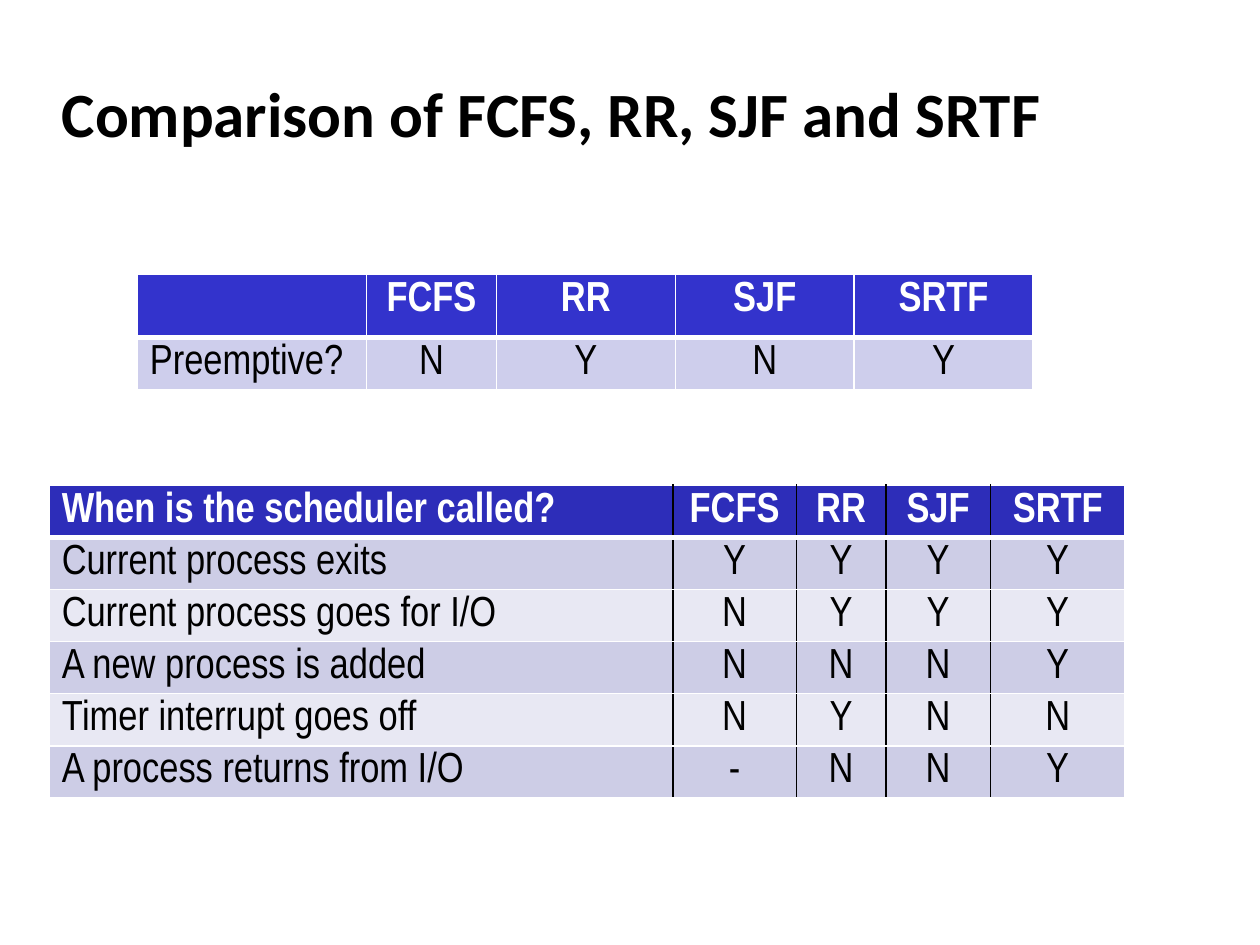
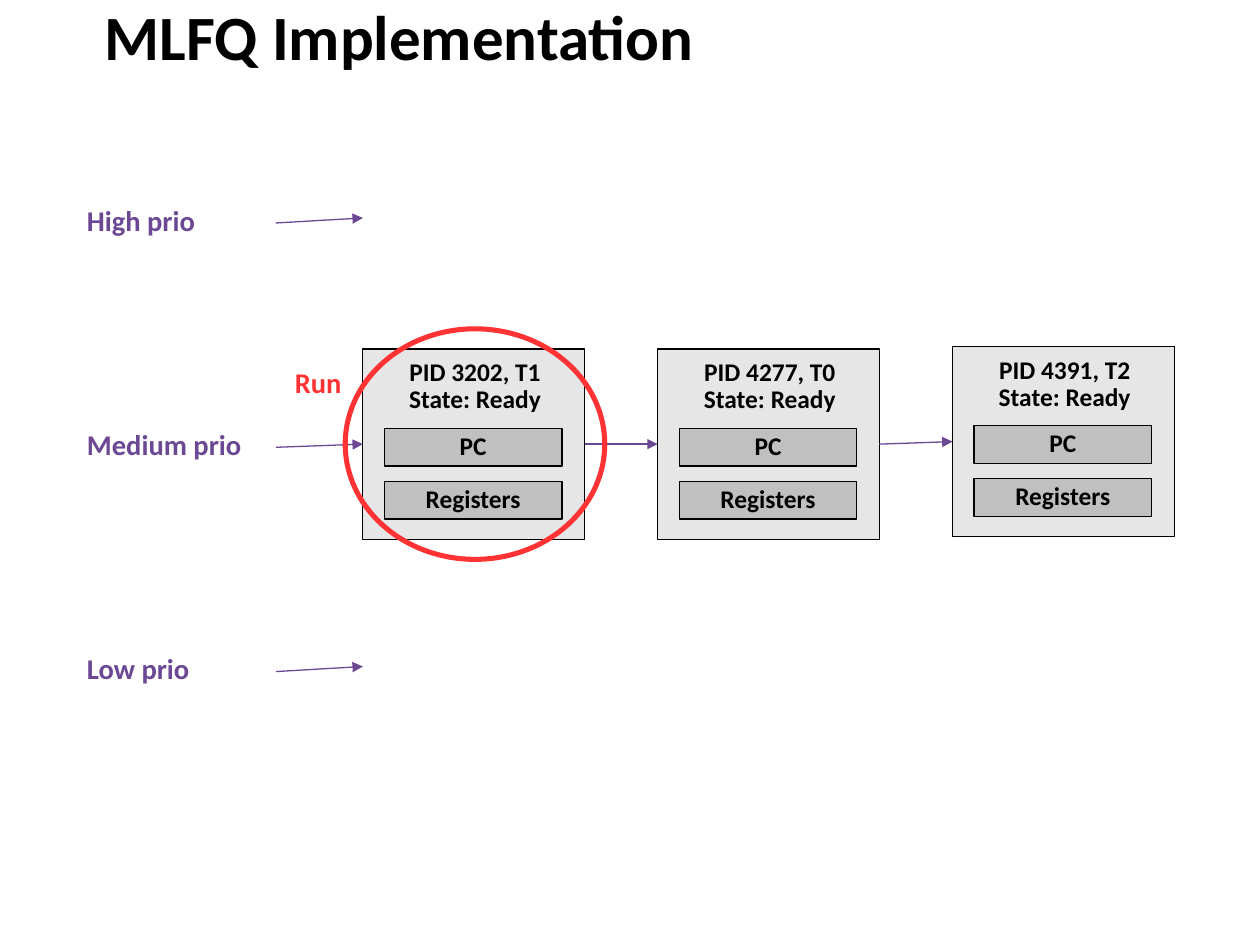
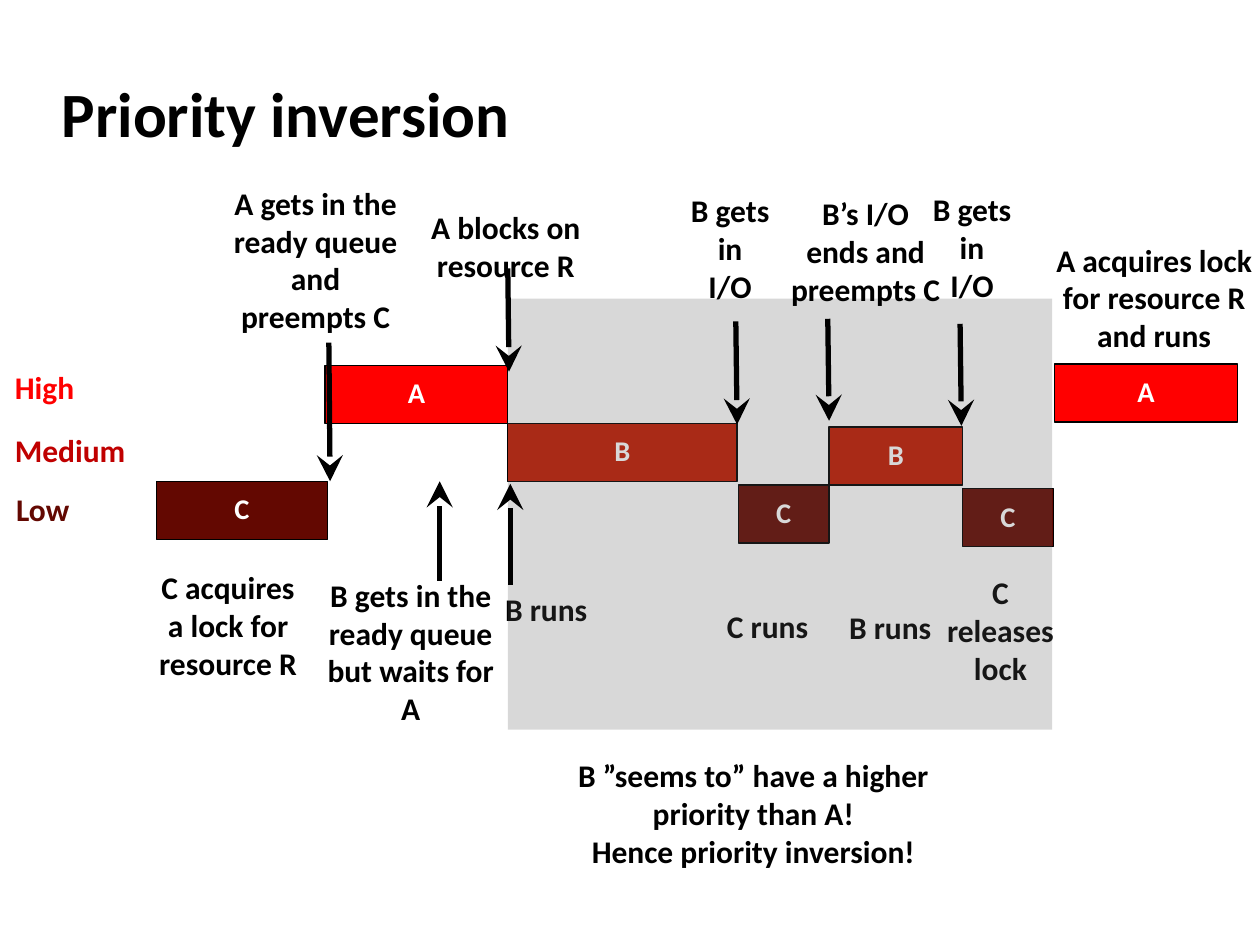
"""Build three slides on process scheduling: comparison, MLFQ and priority inversion."""
from lxml.etree import SubElement
from pptx import Presentation
from pptx.dml.color import RGBColor
from pptx.enum.shapes import MSO_CONNECTOR as Link, MSO_SHAPE as Preset
from pptx.enum.text import MSO_ANCHOR as Anchor, MSO_AUTO_SIZE as AutoSize, PP_ALIGN as Align
from pptx.oxml.ns import qn
from pptx.util import Pt

PX = 9144
SLIDE_SIZE = (1000, 750)
BODY_FONT, TABLE_FONT = "Calibri", "Arial Narrow"
COLOURS = {
    "black": "000000", "white": "FFFFFF",
    "policy_head": "3333CC", "policy_row": "CECEEC",
    "event_head": "2D2DB9", "event_odd": "CDCDE6", "event_even": "E8E8F3",
    "queue": "6B4794", "process": "E6E6E6", "field": "C0C0C0", "running": "FF3333",
    "high": "FF0000", "medium": "C01A01", "medium_label": "C00000", "low": "630801",
    "inversion": "606060",
}
TITLE_BOX = (39, 48, 830, 83)
NARROW_INSETS, WIDE_INSETS = (9, 4), (10, 5)

POLICIES = ["FCFS", "RR", "SJF", "SRTF"]
PREEMPTION = {
    "at": (109, 218), "columns": [182, 103, 142, 142, 142], "heights": [50, 41],
    "rows": [["", *POLICIES], ["Preemptive?", "N", "Y", "N", "Y"]],
    "fills": ["policy_head", "policy_row"], "divider": "white",
}
SCHEDULER_CALLS = {
    "at": (39, 385), "columns": [495, 98, 71, 83, 107], "heights": [41] * 6,
    "rows": [
        ["When is the scheduler called?", *POLICIES],
        ["Current process exits", "Y", "Y", "Y", "Y"],
        ["Current process goes for I/O", "N", "Y", "Y", "Y"],
        ["A new process is added", "N", "N", "N", "Y"],
        ["Timer interrupt goes off", "N", "Y", "N", "N"],
        ["A process returns from I/O", "-", "N", "N", "Y"],
    ],
    "fills": ["event_head"] + ["event_odd", "event_even"] * 2 + ["event_odd"],
    "divider": "black",
}

QUEUES = ["High prio", "Medium prio", "Low prio"]
QUEUE_TOP, QUEUE_PITCH = 160, 178
PROCESSES = [("PID 3202, T1", 277), ("PID 4277, T0", 277), ("PID 4391, T2", 275)]
PROCESS_LEFT, PROCESS_PITCH, PROCESS_SIZE = 288, 234, (176, 151)
PROCESS_FIELDS = [("PC", 63), ("Registers", 105)]

TASK_HEIGHT = 46
TASKS = [
    ("C", "low", 124, 382, 136), ("B", "medium", 403, 336, 182), ("A", "high", 258, 290, 145),
    ("C", "low", 586, 385, 72), ("A", "high", 837, 289, 145),
    ("B", "medium", 658, 339, 106), ("C", "low", 764, 388, 72),
]
PRIORITIES = [
    ("High", "high", (2, 287, 980, 54)),
    ("Medium", "medium_label", (2, 337, 980, 47)),
    ("Low", "low", (3, 384, 978, 47)),
]
INVERSION_SPAN = (403, 237, 432, 342)
SPAN_NOTES = [
    ("C acquires a lock for resource R", (112, 446, 138, 101), Align.CENTER),
    ("A blocks on resource R", (325, 160, 153, 71), Align.CENTER),
    ("C releases lock", (740, 450, 108, 101), Align.CENTER),
    ("B runs", (391, 463, 109, 40), Align.LEFT),
    ("A acquires lock for resource R and runs", (819, 186, 194, 101), Align.CENTER),
    ("C runs", (567, 477, 109, 40), Align.LEFT),
    ("B runs", (664, 478, 109, 40), Align.LEFT),
]
EVENT_NOTES = [
    ("B ”seems to” have a higher priority than A!\nHence priority inversion!", (436, 595, 324, 101)),
    ("A gets in the\nready queue and preempts C", (174, 141, 153, 131)),
    ("B gets in the\nready queue but waits for A", (249, 452, 154, 131)),
    ("B gets in\nI/O", (533, 147, 93, 101)),
    ("B’s I/O\nends and\npreempts C", (611, 149, 152, 101)),
    ("B gets in\nI/O", (725, 146, 93, 101)),
]
EVENT_ARROWS = [
    (261, 272, 262, 382), (403, 213, 404, 295), (349, 461, 349, 382), (405, 464, 405, 384),
    (584, 255, 585, 337), (657, 253, 658, 334), (762, 257, 763, 338),
]


def rgb(colour):
    """Return the named colour."""
    return RGBColor.from_string(COLOURS[colour])


def emu(lengths):
    """Scale px lengths to EMU."""
    return [length * PX for length in lengths]


def write(frame, text, size, colour="black", align=Align.LEFT, bold=True, font=BODY_FONT, spacing=None):
    """Fill a text frame with uniformly formatted paragraphs."""
    frame.text = text
    for paragraph in frame.paragraphs:
        paragraph.alignment = align
        paragraph.line_spacing = spacing
        paragraph.font.name = font
        paragraph.font.size = Pt(size)
        paragraph.font.bold = bold
        paragraph.font.color.rgb = rgb(colour)


def inset(frame, insets):
    """Wrap the text and set its side and top margins."""
    frame.word_wrap = True
    frame.margin_left = frame.margin_right = insets[0] * PX
    frame.margin_top = frame.margin_bottom = insets[1] * PX


def add_titled_slide(deck, title, box=TITLE_BOX, spacing=None):
    """Add a title-only slide."""
    slide = deck.slides.add_slide(deck.slide_layouts[5])
    heading = slide.shapes.title
    heading.left, heading.top, heading.width, heading.height = emu(box)
    frame = heading.text_frame
    frame.auto_size = AutoSize.NONE
    frame.vertical_anchor = Anchor.MIDDLE
    write(frame, title, 36, spacing=spacing)
    return slide


def add_note(slide, text, box, size=18, insets=WIDE_INSETS, **style):
    """Add a wrapped text box."""
    frame = slide.shapes.add_textbox(*emu(box)).text_frame
    inset(frame, insets)
    write(frame, text, size, **style)


def add_block(slide, box, fill=None, outline="black", width=0.75, preset=Preset.RECTANGLE):
    """Add a flat shape, unfilled or without an outline where none is named."""
    block = slide.shapes.add_shape(preset, *emu(box))
    block.shadow.inherit = False
    if fill:
        block.fill.solid()
        block.fill.fore_color.rgb = rgb(fill)
    else:
        block.fill.background()
    if outline:
        block.line.color.rgb = rgb(outline)
        block.line.width = Pt(width)
    else:
        block.line.fill.background()
    return block


def add_labelled_block(slide, text, box, fill, size, colour):
    """Add a flat shape with a centred label."""
    frame = add_block(slide, box, fill).text_frame
    inset(frame, NARROW_INSETS)
    frame.vertical_anchor = Anchor.MIDDLE
    write(frame, text, size, colour, Align.CENTER, spacing=0.9)


def add_arrow(slide, ends, colour, width, head, head_size="med"):
    """Add a straight arrow."""
    arrow = slide.shapes.add_connector(Link.STRAIGHT, *emu(ends))
    arrow.line.color.rgb = rgb(colour)
    arrow.line.width = Pt(width)
    SubElement(arrow.line._get_or_add_ln(), qn("a:tailEnd"), type=head, w=head_size, len=head_size)
    SubElement(arrow._element.spPr, qn("a:effectLst"))
    return arrow


def add_border(cell, side, colour, width):
    """Draw one side of a table cell."""
    border = SubElement(cell._tc.get_or_add_tcPr(), qn(f"a:ln{side}"), w=str(Pt(width)))
    SubElement(SubElement(border, qn("a:solidFill")), qn("a:srgbClr"), val=COLOURS[colour])


def add_grid(slide, content):
    """Add a table with a bold header row."""
    columns, heights, rows = content["columns"], content["heights"], content["rows"]
    box = (*content["at"], sum(columns), sum(heights))
    table = slide.shapes.add_table(len(rows), len(columns), *emu(box)).table
    table.horz_banding = False
    for column, width in zip(table.columns, columns):
        column.width = width * PX
    for r, (values, fill) in enumerate(zip(rows, content["fills"])):
        table.rows[r].height = heights[r] * PX
        for c, value in enumerate(values):
            cell = table.cell(r, c)
            add_border(cell, "L", content["divider"] if c else "white", 1)
            add_border(cell, "R", content["divider"] if c < len(columns) - 1 else "white", 1)
            add_border(cell, "T", "white", 3 if r == 1 else 1)
            add_border(cell, "B", "white", 1 if r else 3)
            cell.fill.solid()
            cell.fill.fore_color.rgb = rgb(fill)
            write(cell.text_frame, value, 24, "black" if r else "white",
                  Align.CENTER if c else Align.LEFT, bold=r == 0, font=TABLE_FONT)


def add_process(slide, pid, left, top):
    """Add a process control block and return its outer box."""
    process = add_block(slide, (left, top, *PROCESS_SIZE), "process")
    for field, offset in PROCESS_FIELDS:
        add_labelled_block(slide, field, (left + 17, top + offset, 141, 30), "field", 14.5, "black")
    add_note(slide, f"{pid}\nState: Ready", (left + 11, top + 5, 156, 54), 14.5, NARROW_INSETS,
             align=Align.CENTER, spacing=0.88)
    return process


def build_comparison(deck):
    """Compare the policies in two tables."""
    slide = add_titled_slide(deck, "Comparison of FCFS, RR, SJF and SRTF")
    add_grid(slide, PREEMPTION)
    add_grid(slide, SCHEDULER_CALLS)


def build_queues(deck):
    """Show the queues and the chain of ready processes."""
    slide = add_titled_slide(deck, "MLFQ Implementation", (73, 10, 854, 47), 0.82)
    processes = [add_process(slide, pid, PROCESS_LEFT + i * PROCESS_PITCH, top)
                 for i, (pid, top) in enumerate(PROCESSES)]
    for i, queue in enumerate(QUEUES):
        top = QUEUE_TOP + i * QUEUE_PITCH
        add_note(slide, queue, (60, top, 159, 35), 16.3, NARROW_INSETS, colour="queue", spacing=0.9)
        arrow = add_arrow(slide, (219, top + 17, PROCESS_LEFT, top + 13), "queue", 0.75, "triangle")
        if queue == "Medium prio":
            arrow.end_connect(processes[0], 1)
    for current, following in zip(processes, processes[1:]):
        arrow = add_arrow(slide, (0, 0, 0, 0), "queue", 0.75, "triangle")
        arrow.begin_connect(current, 3)
        arrow.end_connect(following, 1)
    add_block(slide, (274, 261, 206, 183), None, "running", 2.89, Preset.OVAL)
    add_note(slide, "Run", (225, 289, 63, 35), 16.3, NARROW_INSETS, colour="running", spacing=0.9)


def build_inversion(deck):
    """Show the timeline on which B delays A."""
    slide = add_titled_slide(deck, "Priority inversion")
    for task, priority, left, top, width in TASKS:
        add_labelled_block(slide, task, (left, top, width, TASK_HEIGHT), priority, 16.3, "white")
    for priority, colour, box in PRIORITIES:
        add_note(slide, priority, box, colour=colour)
    for note, box, align in SPAN_NOTES:
        add_note(slide, note, box, align=align)
    span = add_block(slide, INVERSION_SPAN, "inversion", None)
    tint = span._element.spPr.find(qn("a:solidFill"))[0]
    SubElement(tint, qn("a:alpha"), val="24000")
    for ends in EVENT_ARROWS:
        add_arrow(slide, ends, "black", 3, "stealth", "lg")
    for note, box in EVENT_NOTES:
        add_note(slide, note, box, align=Align.CENTER)


def main():
    """Build and save the deck."""
    deck = Presentation()
    deck.slide_width, deck.slide_height = emu(SLIDE_SIZE)
    build_comparison(deck)
    build_queues(deck)
    build_inversion(deck)
    deck.save("out.pptx")


if __name__ == "__main__":
    main()
